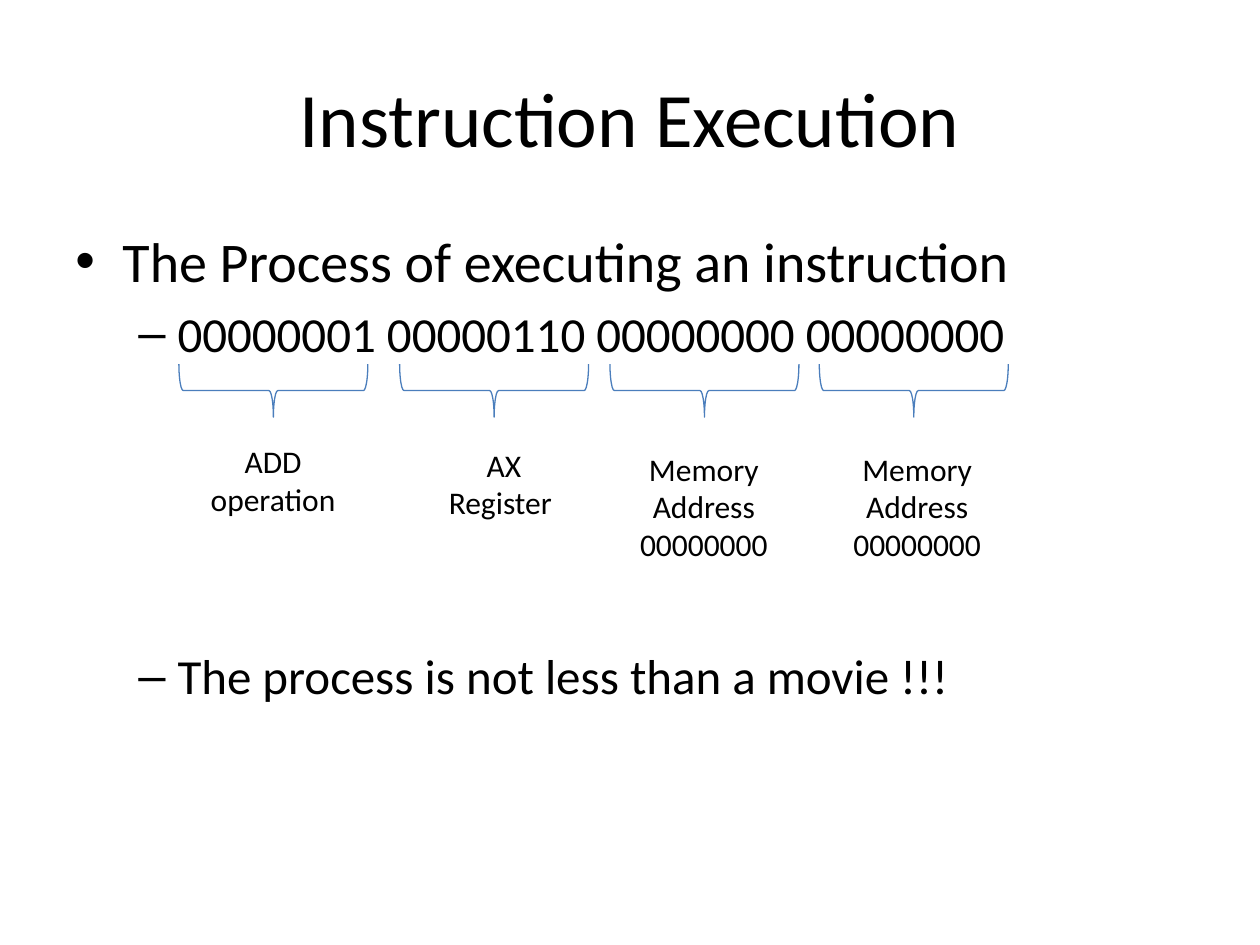
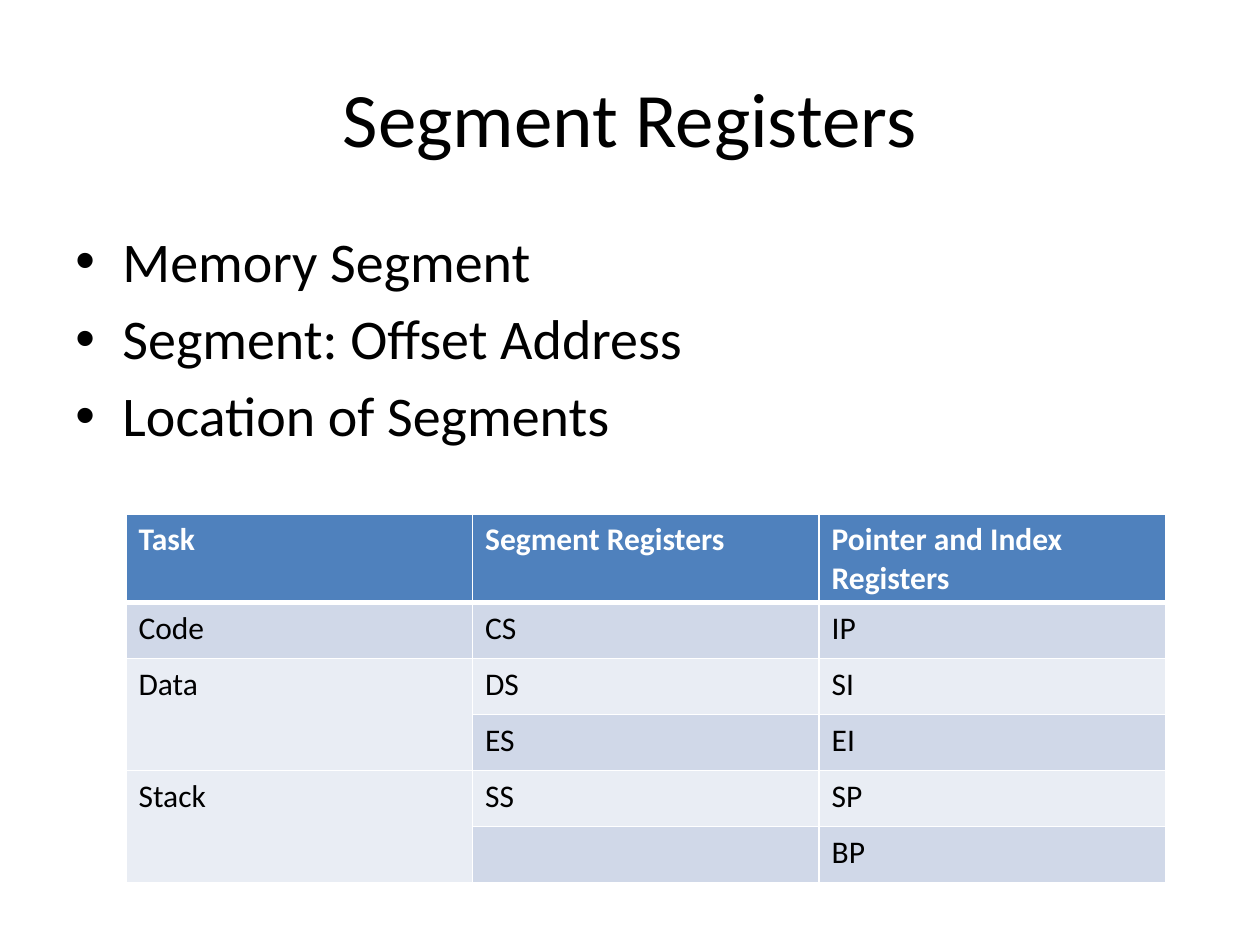
from lxml.etree import SubElement
from pptx import Presentation
from pptx.dml.color import RGBColor as Rgb
from pptx.enum.shapes import MSO_SHAPE as Shape
from pptx.enum.text import MSO_ANCHOR as Anchor, PP_ALIGN as Align
from pptx.oxml.ns import qn
from pptx.util import Cm, Pt

COLORS = {
    "text": "000000", "white": "FFFFFF", "brace": "4B7EBC",
    "header": "4F81BD", "dark band": "D0D8E8", "light band": "E9EDF4",
}
# Bullet, size, left indent, hanging indent and space before of each list level
LEVELS = [("•", 32, 0.95, 0.95, 5.6), ("–", 28, 2.06, 0.79, 5.1)]


def write(frame, text, size=18, color="text", bold=False, align=Align.LEFT,
          bullet=None, indent=0, hanging=0, before=0):
    """Fill the first paragraph of the frame, or add one after it."""
    first = frame.paragraphs[0]
    paragraph = frame.add_paragraph() if first.runs else first
    paragraph.text = text
    paragraph.alignment = align
    paragraph.space_before = Pt(before)
    for run in paragraph.runs:
        run.font.name = "Calibri"
        run.font.size = Pt(size)
        run.font.bold = bold
        run.font.color.rgb = Rgb.from_string(COLORS[color])
    if bullet:
        properties = paragraph._p.get_or_add_pPr()
        properties.set("marL", str(Cm(indent)))
        properties.set("indent", str(-Cm(hanging)))
        SubElement(properties, qn("a:buFont"), typeface="Arial")
        SubElement(properties, qn("a:buChar"), char=bullet)


def add_text_frame(slide, left, top, width, height, anchor=Anchor.TOP):
    box = slide.shapes.add_textbox(Cm(left), Cm(top), Cm(width), Cm(height))
    box.text_frame.word_wrap = True
    box.text_frame.vertical_anchor = anchor
    return box.text_frame


presentation = Presentation()
presentation.slide_width, presentation.slide_height = Cm(25.4), Cm(19.05)

# Titles and bullet lists: text, level, extra space before in points
contents = [
    ("Instruction Execution", [
        ("The Process of executing an instruction", 0, 0),
        ("00000001 00000110 00000000 00000000", 1, 0),
        ("The process is not less than a movie !!!", 1, 157.2),
    ]),
    ("Segment Registers", [
        ("Memory Segment", 0, 0),
        ("Segment: Offset Address", 0, 0),
        ("Location of Segments", 0, 0),
    ]),
]
slides = []
for title, items in contents:
    slide = presentation.slides.add_slide(presentation.slide_layouts[6])
    slides.append(slide)
    title_frame = add_text_frame(slide, 1.27, 0.76, 22.86, 3.18, Anchor.MIDDLE)
    write(title_frame, title, size=44, align=Align.CENTER)
    body_frame = add_text_frame(slide, 1.27, 4.45, 22.86, 12.57)
    for text, level, extra in items:
        bullet, size, indent, hanging, before = LEVELS[level]
        write(body_frame, text, size=size, bullet=bullet, indent=indent,
              hanging=hanging, before=before + extra)
execution_slide, segment_slide = slides

# Braces under the four bytes, each with its label
BRACE_DEPTH, BRACE_SPAN = 1.07, 3.81
byte_labels = [  # brace centre, then label left, top, width, height
    ("ADD operation", 5.51, 3.6, 8.79, 3.81, 1.8),
    ("AX\vRegister ", 9.96, 8.47, 8.86, 3.38, 1.8),
    ("Memory Address 00000000", 14.2, 12.5, 8.94, 3.38, 2.57),
    ("Memory Address 00000000", 18.42, 16.8, 8.94, 3.38, 2.57),
]
for label, center, left, top, width, height in byte_labels:
    brace = execution_slide.shapes.add_shape(
        Shape.RIGHT_BRACE, Cm(center - BRACE_DEPTH / 2), Cm(5.97),
        Cm(BRACE_DEPTH), Cm(BRACE_SPAN))
    brace.rotation = 90
    brace.shadow.inherit = False
    brace.fill.background()
    brace.line.color.rgb = Rgb.from_string(COLORS["brace"])
    brace.line.width = Pt(0.75)
    label_frame = add_text_frame(execution_slide, left, top, width, height)
    write(label_frame, label, align=Align.CENTER)

# Table of registers
rows = [
    ("Task", "Segment Registers", "Pointer and Index Registers"),
    ("Code", "CS", "IP"),
    ("Data", "DS", "SI"),
    ("", "ES", "EI"),
    ("Stack", "SS", "SP"),
    ("", "", "BP"),
]
HEADER_HEIGHT, ROW_HEIGHT = 1.78, 1.13
table = segment_slide.shapes.add_table(
    len(rows), 3, Cm(2.54), Cm(10.37), Cm(20.96),
    Cm(HEADER_HEIGHT + ROW_HEIGHT * (len(rows) - 1))).table
table.first_row = table.horz_banding = False
for row_index, texts in enumerate(rows):
    is_header = row_index == 0
    table.rows[row_index].height = Cm(HEADER_HEIGHT if is_header else ROW_HEIGHT)
    band = "header" if is_header else ("light band", "dark band")[row_index % 2]
    for column_index, text in enumerate(texts):
        cell = table.cell(row_index, column_index)
        if text:
            write(cell.text_frame, text, bold=is_header,
                  color="white" if is_header else "text")
        # Thin white borders, with thick ones between header and body
        cell_properties = cell._tc.get_or_add_tcPr()
        for side in ("lnL", "lnR", "lnT", "lnB"):
            is_thick = (row_index, side) in ((0, "lnB"), (1, "lnT"))
            line = SubElement(cell_properties, qn("a:" + side),
                              w=str(Pt(3 if is_thick else 1)))
            fill = SubElement(line, qn("a:solidFill"))
            SubElement(fill, qn("a:srgbClr"), val=COLORS["white"])
        cell.fill.solid()
        cell.fill.fore_color.rgb = Rgb.from_string(COLORS[band])
for first_row in (2, 4):
    table.cell(first_row, 0).merge(table.cell(first_row + 1, 0))

presentation.save("out.pptx")
